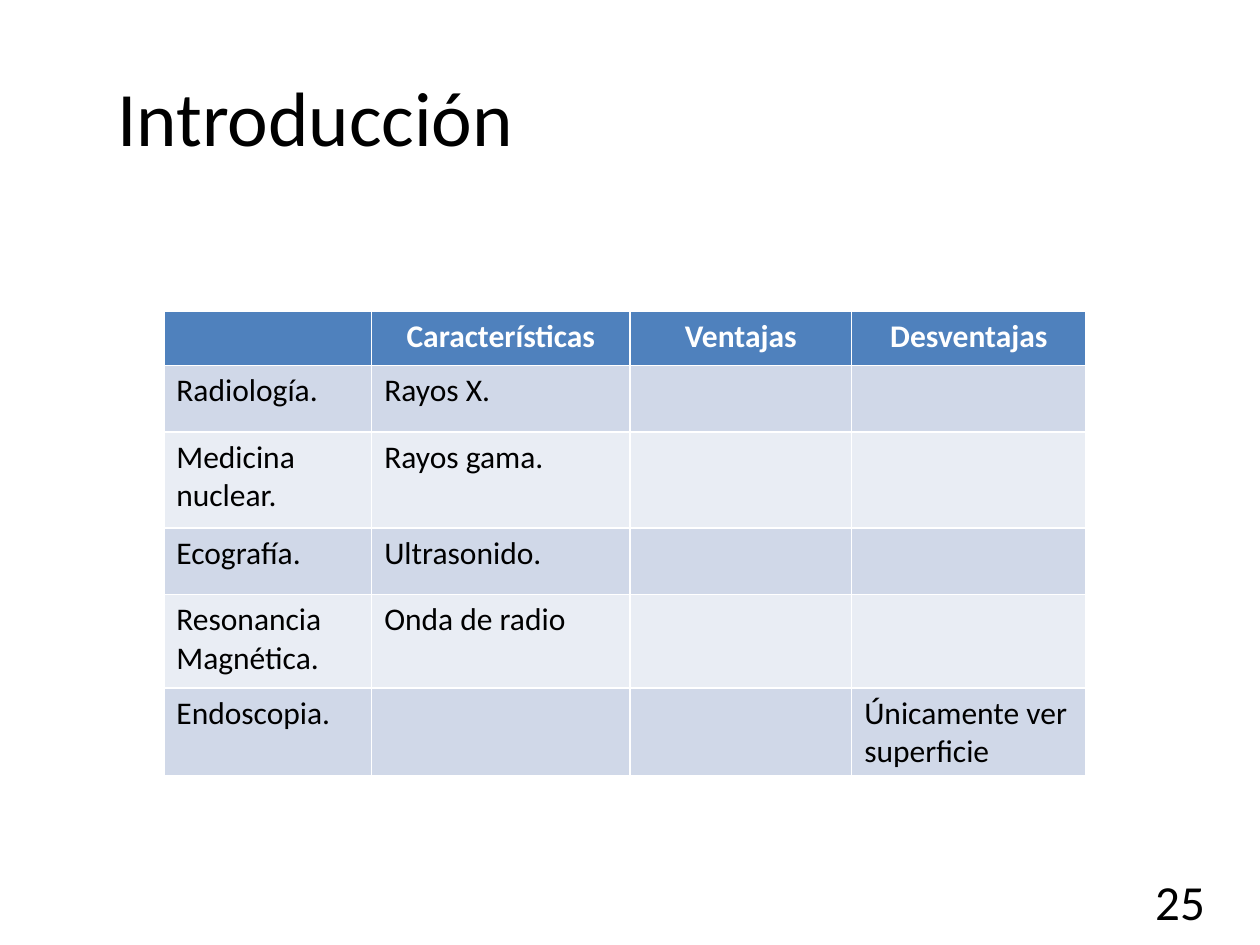
"""Build the slide that compares medical imaging methods."""
from pptx import Presentation
from pptx.dml.color import RGBColor
from pptx.enum.text import MSO_ANCHOR, PP_ALIGN
from pptx.util import Pt

LEFT, MID, RIGHT = PP_ALIGN.LEFT, PP_ALIGN.CENTER, PP_ALIGN.RIGHT
CENTER = MSO_ANCHOR.MIDDLE

TITLE = "Introducción"
PAGE = "25"
ROWS = [
    ("", "Características", "Ventajas", "Desventajas"),
    ("Radiología.", "Rayos X.", "", ""),
    ("Medicina nuclear.", "Rayos gama.", "", ""),
    ("Ecografía.", "Ultrasonido.", "", ""),
    ("Resonancia\nMagnética.", "Onda de radio", "", ""),
    ("Endoscopia.", "", "", "Únicamente ver superficie"),
]
WIDTHS = (118.8, 147.6, 126.7, 133.9)
HEIGHTS = (31, 38.2, 54.7, 38.2, 53.3, 38.2)
COLORS = {"ink": "000000", "white": "FFFFFF", "head": "4F81BD",
          "odd": "D0D8E8", "even": "E9EDF4"}
FORMATS = {
    "title": {"size": Pt(44), "bold": False},
    "page": {"size": Pt(28), "bold": False},
    "head": {"size": Pt(18), "bold": True},
    "body": {"size": Pt(18), "bold": False},
}


def color(name):
    return RGBColor.from_string(COLORS[name])


def write(frame, text, style, ink="ink", align=LEFT):
    frame.text = text
    for para in frame.paragraphs:
        para.alignment = align
        para.font.name = "Calibri"
        para.font.color.rgb = color(ink)
        for key, value in FORMATS[style].items():
            setattr(para.font, key, value)


def place(shape, left, top, width, height):
    shape.left, shape.top = Pt(left), Pt(top)
    shape.width, shape.height = Pt(width), Pt(height)
    shape.text_frame.word_wrap = True
    shape.text_frame.vertical_anchor = CENTER


def fill_table(slide):
    frame = slide.shapes.add_table(len(ROWS), len(WIDTHS), Pt(93.6), Pt(177.8),
                                   Pt(sum(WIDTHS)), Pt(sum(HEIGHTS)))
    table = frame.table
    for col, width in zip(table.columns, WIDTHS):
        col.width = Pt(width)
    for row, height in zip(table.rows, HEIGHTS):
        row.height = Pt(height)
    for r, texts in enumerate(ROWS):
        look = ("head", "white", MID) if r == 0 else ("body", "ink", LEFT)
        band = "head" if r == 0 else "odd" if r % 2 else "even"
        for c, text in enumerate(texts):
            cell = table.cell(r, c)
            cell.fill.solid()
            cell.fill.fore_color.rgb = color(band)
            if text:
                write(cell.text_frame, text, *look)


def main():
    deck = Presentation()
    deck.slide_width, deck.slide_height = Pt(720), Pt(540)
    slide = deck.slides.add_slide(deck.slide_layouts[5])
    title = slide.shapes.title
    place(title, 59.8, 20.9, 635.8, 90)
    write(title.text_frame, TITLE, "title")
    page = slide.shapes.add_textbox(0, 0, 0, 0)
    place(page, 527.8, 500.4, 167.8, 28.8)
    write(page.text_frame, PAGE, "page", align=RIGHT)
    fill_table(slide)
    deck.save("out.pptx")


if __name__ == "__main__":
    main()
